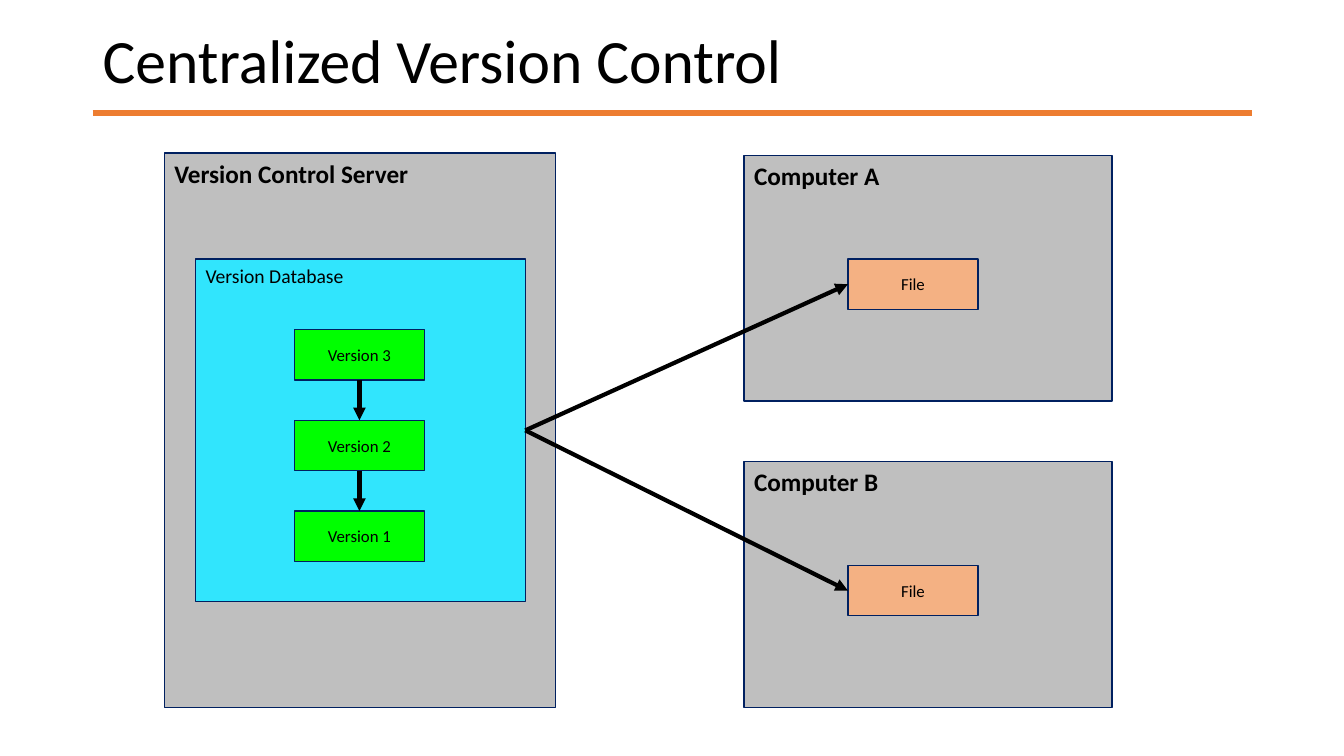
from dataclasses import dataclass

import pptx
import pptx.dml.color
import pptx.enum.shapes
import pptx.enum.text
import pptx.oxml.ns
import pptx.util
from lxml import etree
from pptx.util import Inches

COLORS = {
    "text": "000000",
    "rule": "ED7D31",
    "border": "002060",
    "machine": "BFBFBF",
    "database": "31E5FD",
    "version": "00FF00",
    "file": "F4B183",
}
FONT = "Calibri"
NODE_WIDTH, NODE_HEIGHT = 1.29, 0.5


@dataclass(frozen=True)
class Box:
    label: str
    fill: str
    left: float
    top: float
    width: float = NODE_WIDTH
    height: float = NODE_HEIGHT
    size: int = 12
    bold: bool = False
    centered: bool = True

    @property
    def center_x(self) -> float:
        return self.left + self.width / 2

    @property
    def center_y(self) -> float:
        return self.top + self.height / 2

    @property
    def right(self) -> float:
        return self.left + self.width

    @property
    def bottom(self) -> float:
        return self.top + self.height


@dataclass(frozen=True)
class Line:
    start: tuple[float, float]
    end: tuple[float, float]
    color: str = "text"
    width: float = 3
    arrow: bool = True


def rgb(name: str) -> pptx.dml.color.RGBColor:
    return pptx.dml.color.RGBColor.from_string(COLORS[name])


def write(paragraph, text: str, size: float, bold: bool = False) -> None:
    run = paragraph.add_run()
    run.text = text
    run.font.name = FONT
    run.font.size = pptx.util.Pt(size)
    run.font.bold = bold
    run.font.color.rgb = rgb("text")


def draw_box(slide, box: Box) -> None:
    shape = slide.shapes.add_shape(
        pptx.enum.shapes.MSO_SHAPE.RECTANGLE,
        Inches(box.left), Inches(box.top), Inches(box.width), Inches(box.height))
    shape.shadow.inherit = False
    shape.fill.solid()
    shape.fill.fore_color.rgb = rgb(box.fill)
    shape.line.color.rgb = rgb("border")
    shape.line.width = pptx.util.Pt(1)
    anchors, aligns = pptx.enum.text.MSO_ANCHOR, pptx.enum.text.PP_ALIGN
    frame = shape.text_frame
    frame.word_wrap = True
    frame.vertical_anchor = anchors.MIDDLE if box.centered else anchors.TOP
    paragraph = frame.paragraphs[0]
    paragraph.alignment = aligns.CENTER if box.centered else aligns.LEFT
    write(paragraph, box.label, box.size, box.bold)


def draw_line(slide, line: Line) -> None:
    connector = slide.shapes.add_connector(
        pptx.enum.shapes.MSO_CONNECTOR.STRAIGHT,
        *(Inches(value) for value in line.start + line.end))
    connector.line.color.rgb = rgb(line.color)
    connector.line.width = pptx.util.Pt(line.width)
    qn = pptx.oxml.ns.qn
    if line.arrow:
        outline = connector.line._get_or_add_ln()
        etree.SubElement(outline, qn("a:tailEnd"), type="triangle")
    etree.SubElement(connector._element.spPr, qn("a:effectLst"))


def draw_title(slide, text: str) -> None:
    title = slide.shapes.add_textbox(
        Inches(0.92), Inches(0.14), Inches(11.5), Inches(0.98))
    frame = title.text_frame
    frame.word_wrap = True
    frame.vertical_anchor = pptx.enum.text.MSO_ANCHOR.MIDDLE
    frame.paragraphs[0].line_spacing = 0.9
    write(frame.paragraphs[0], text, 44)


def main() -> None:
    deck = pptx.Presentation()
    deck.slide_width, deck.slide_height = Inches(13.33), Inches(7.5)
    slide = deck.slides.add_slide(deck.slide_layouts[6])

    # Title and rule
    draw_title(slide, "Centralized Version Control")
    draw_line(slide, Line((0.92, 1.12), (12.42, 1.12), "rule", 4, arrow=False))

    # Server with its version history
    server = Box("Version Control Server", "machine", 1.63, 1.52, 3.88, 5.5,
                 18, bold=True, centered=False)
    database = Box("Version Database", "database", 1.94, 2.57, 3.27, 3.4,
                   14, centered=False)
    versions = [Box(f"Version {3 - i}", "version", 2.92, 3.27 + 0.9 * i)
                for i in range(3)]

    # Client computers, each with a checked-out file
    computers = [Box(f"Computer {letter}", "machine", 7.38, top, 3.65, 2.44,
                     18, bold=True, centered=False)
                 for letter, top in (("A", 1.54), ("B", 4.58))]
    files = [Box("File", "file", 8.41, computer.top + 1.03)
             for computer in computers]

    for box in [server, database, *versions, *computers, *files]:
        draw_box(slide, box)

    # Arrows: newer to older version, database to each file
    for newer, older in zip(versions, versions[1:]):
        draw_line(slide, Line((newer.center_x, newer.bottom),
                              (older.center_x, older.top)))
    for file in files:
        draw_line(slide, Line((database.right, database.center_y),
                              (file.left, file.center_y)))

    deck.save("out.pptx")


if __name__ == "__main__":
    main()
